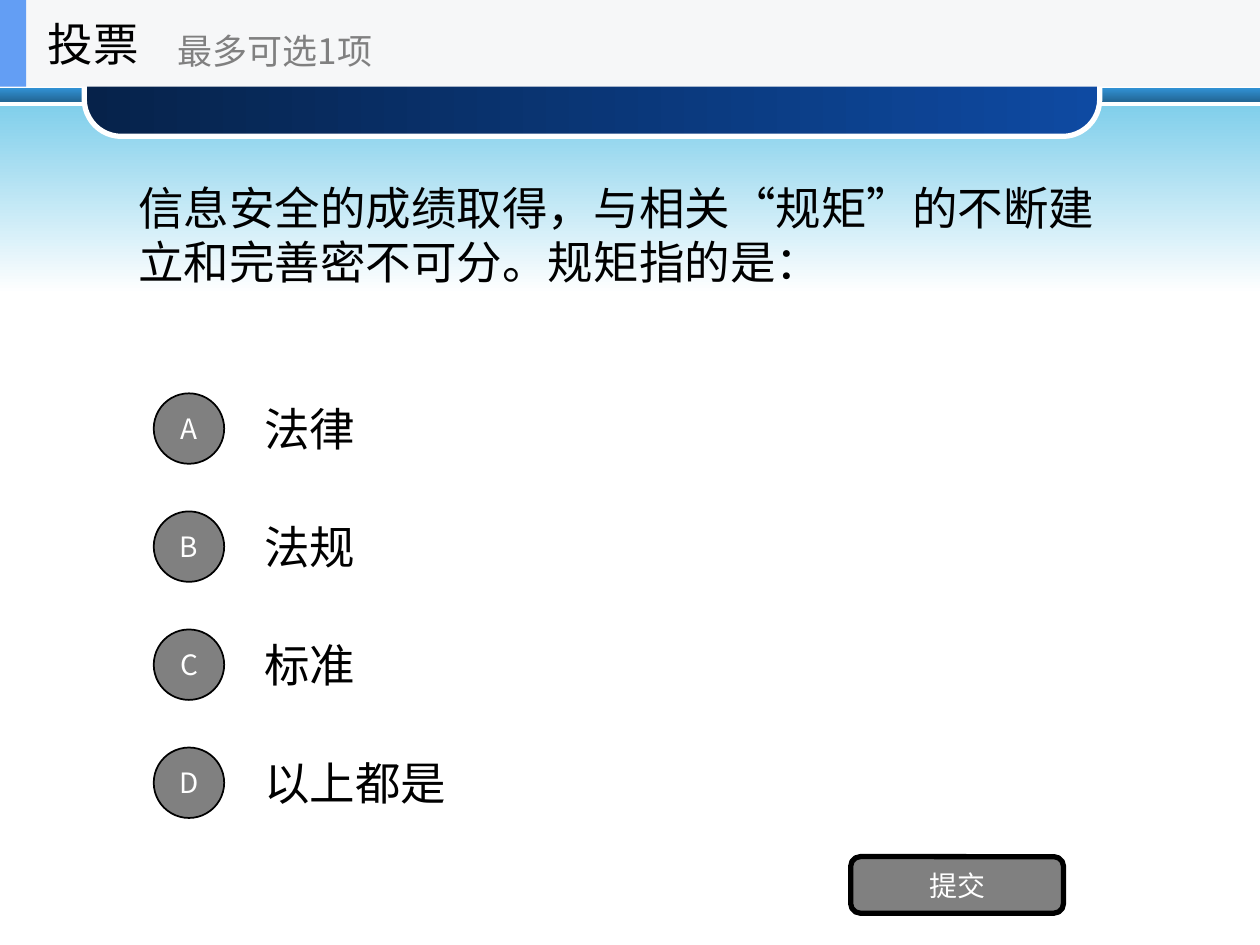
from dataclasses import dataclass

from pptx import Presentation
from pptx import util as u
from pptx.dml.color import RGBColor
from pptx.enum import shapes, text
from pptx.oxml.ns import qn


@dataclass(frozen=True)
class Theme:
    font: str = "Noto Sans CJK SC"
    ink: str = "000000"
    paper: str = "FFFFFF"
    grey: str = "808080"
    header: str = "F6F7F8"
    accent: str = "639EF4"
    rail: tuple = ("3191D3", "236897")
    sky: tuple = ("81CFEB", "FFFFFF")
    banner: tuple = ("06224A", "0E4AA2")
    body_size: int = 26
    hint_size: int = 20
    button_size: int = 16


THEME = Theme()
SHAPE = shapes.MSO_SHAPE
ALIGN = text.PP_ALIGN


@dataclass(frozen=True)
class Box:
    left: float
    top: float
    width: float
    height: float

    def inner(self, left, top, width, height):
        return Box(self.left + left, self.top + top, width, height)

    def lengths(self):
        return [u.Cm(value) for value in (self.left, self.top, self.width, self.height)]


def write(shape, content, size=THEME.body_size, color=THEME.ink, align=ALIGN.LEFT, spacing=None):
    frame = shape.text_frame
    frame.word_wrap = True
    frame.vertical_anchor = text.MSO_ANCHOR.MIDDLE
    paragraph = frame.paragraphs[0]
    paragraph.alignment = align
    paragraph.line_spacing = spacing
    run = paragraph.add_run()
    run.text = content
    run.font.size = u.Pt(size)
    run.font.name = THEME.font
    run.font.color.rgb = RGBColor.from_string(color)
    east_asian = run.font._element.makeelement(qn("a:ea"), {"typeface": THEME.font})
    run.font._element.find(qn("a:latin")).addnext(east_asian)


def add_label(slide, box, content, **style):
    write(slide.shapes.add_textbox(*box.lengths()), content, **style)


def add_panel(slide, box, fill, kind=SHAPE.RECTANGLE, angle=0, line=None, line_width=1, corner=None):
    shape = slide.shapes.add_shape(kind, *box.lengths())
    shape.shadow.inherit = False
    if corner is not None:
        shape.adjustments[0] = corner
    if isinstance(fill, tuple):
        shape.fill.gradient()
        shape.fill.gradient_angle = angle
        for stop, color in zip(shape.fill.gradient_stops, fill):
            stop.color.rgb = RGBColor.from_string(color)
    else:
        shape.fill.solid()
        shape.fill.fore_color.rgb = RGBColor.from_string(fill)
    if line:
        shape.line.color.rgb = RGBColor.from_string(line)
        shape.line.width = u.Pt(line_width)
    else:
        shape.line.fill.background()
    return shape


def add_button(slide, box, content, kind, **style):
    shape = add_panel(slide, box, THEME.grey, kind, line=THEME.ink, **style)
    shape.text_frame.margin_left = shape.text_frame.margin_right = 0
    shape.text_frame.margin_top = shape.text_frame.margin_bottom = 0
    write(shape, content, size=THEME.button_size, color=THEME.paper, align=ALIGN.CENTER)


def add_backdrop(slide, box):
    add_panel(slide, box.inner(0, 0, box.width, 0.26), THEME.rail, angle=270)
    add_panel(slide, box.inner(0, 0.36, box.width, 3.78), THEME.sky, angle=270)
    add_panel(slide, box.inner(1.7, -0.81, 20.47, 1.78), THEME.banner,
              SHAPE.ROUNDED_RECTANGLE, line=THEME.paper, line_width=3, corner=0.42)


def add_options(slide, box, options):
    pitch = box.height / len(options)
    for index, option in enumerate(options):
        row = box.inner(0, index * pitch, box.width, pitch)
        add_button(slide, row.inner(0, 0.18, 1.42, 1.42), chr(ord("A") + index), SHAPE.OVAL)
        add_label(slide, row.inner(1.98, 0, box.width - 1.98, 1.78), option)


def add_header(slide, box, title, hint):
    add_panel(slide, box, THEME.header)
    add_panel(slide, box.inner(0, 0, 0.53, box.height), THEME.accent)
    add_label(slide, box.inner(0.71, 0, 5.28, box.height), title)
    add_label(slide, box.inner(3.33, 0.3, 6.35, 1.42), hint,
              size=THEME.hint_size, color=THEME.grey)


def main():
    presentation = Presentation()
    presentation.slide_width = u.Cm(25.4)
    presentation.slide_height = u.Cm(19.05)
    slide = presentation.slides.add_slide(presentation.slide_layouts[6])
    add_backdrop(slide, Box(0, 1.78, 25.4, 4.14))
    add_label(slide, Box(2.54, 1.75, 20.32, 5.94),
              "信息安全的成绩取得，与相关“规矩”的不断建立和完善密不可分。规矩指的是：")
    add_options(slide, Box(3.1, 7.75, 19.76, 9.52), ["法律", "法规", "标准", "以上都是"])
    add_button(slide, Box(17.15, 17.27, 4.29, 1.14), "提交",
               SHAPE.ROUNDED_RECTANGLE, line_width=3, corner=0.17)
    add_header(slide, Box(0, 0, 25.4, 1.75), "投票", "最多可选1项")
    presentation.save("out.pptx")


if __name__ == "__main__":
    main()
